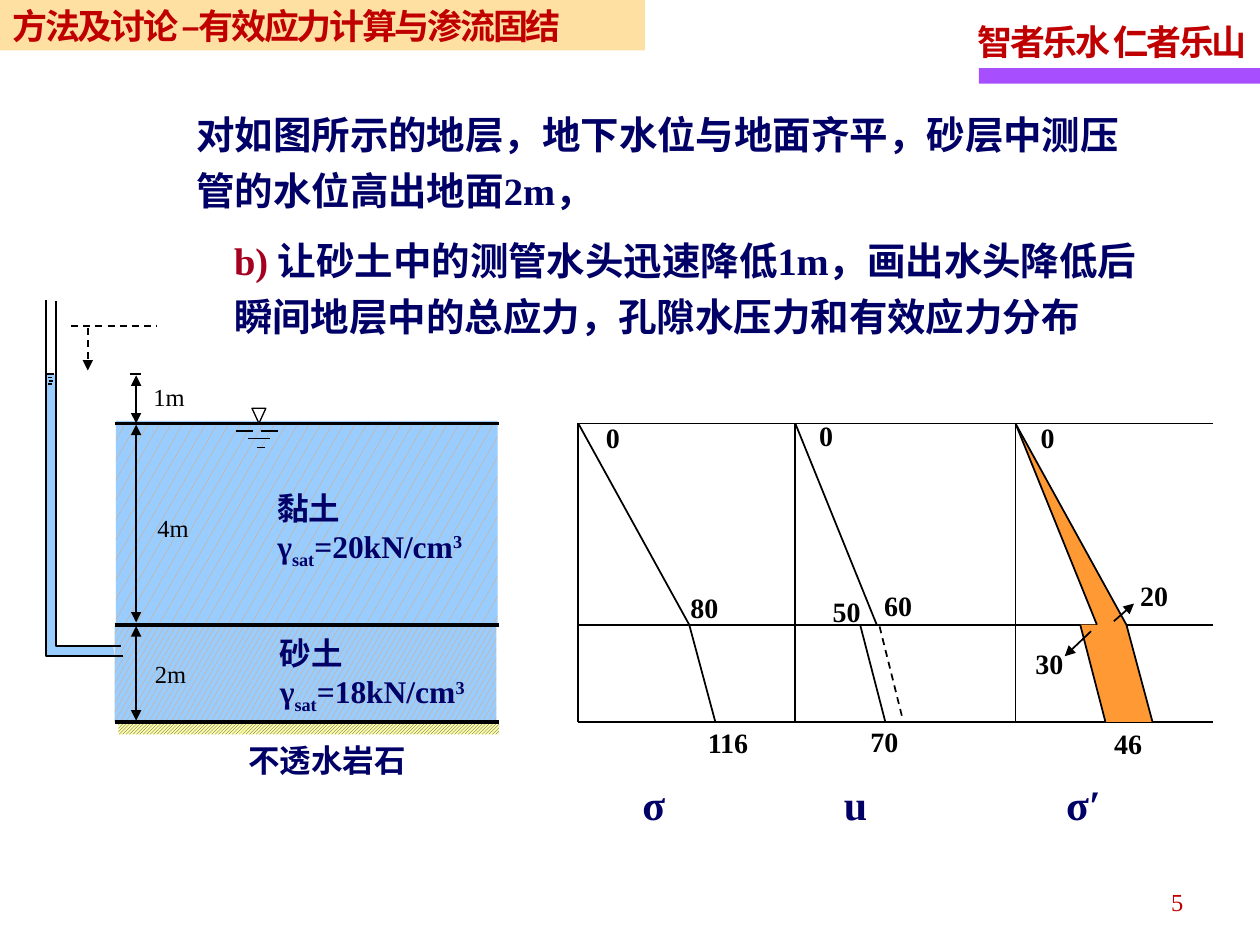
from lxml import etree
from pptx import Presentation
from pptx.dml.color import RGBColor
from pptx.enum.dml import MSO_LINE, MSO_PATTERN
from pptx.enum.shapes import MSO_CONNECTOR, MSO_SHAPE
from pptx.enum.text import MSO_ANCHOR, MSO_AUTO_SIZE, PP_ALIGN
from pptx.oxml.ns import qn
from pptx.util import Pt

RECT, TRIANGLE = MSO_SHAPE.RECTANGLE, MSO_SHAPE.ISOSCELES_TRIANGLE
STRAIGHT, DASH = MSO_CONNECTOR.STRAIGHT, MSO_LINE.DASH
LARGE_CONFETTI, SMALL_CONFETTI = MSO_PATTERN.LARGE_CONFETTI, MSO_PATTERN.SMALL_CONFETTI
DIAGONAL = MSO_PATTERN.LIGHT_UPWARD_DIAGONAL
MIDDLE, RIGHT, LEFT = MSO_ANCHOR.MIDDLE, PP_ALIGN.RIGHT, PP_ALIGN.LEFT
FIT = MSO_AUTO_SIZE.SHAPE_TO_FIT_TEXT

COLORS = {"black": "000000", "red": "C00000", "crimson": "A50021", "navy": "000066",
          "purple": "A74FFF", "sand": "FFCC66", "water": "99CCFF", "orange": "FF9933",
          "indigo": "333399", "yellow": "FFFF99"}
LATIN, CJK = "Times New Roman", "Noto Sans CJK SC"
HEADER = {"size": Pt(20), "bold": True, "color": "red"}
BODY = {"size": Pt(22), "bold": True, "color": "navy"}
SOIL = {"size": Pt(18), "bold": True, "color": "navy"}
AXIS = {"size": Pt(24), "bold": True, "color": "navy"}
DEPTH = {"size": Pt(14), "color": "black"}
VALUE = {"size": Pt(16), "bold": True, "color": "black"}
PAGE = {"size": Pt(14), "color": "red"}

TOP, MID, BASE = 242, 357, 412.5
SOIL_LEFT, SOIL_RIGHT = 65.5, 285
TOTAL_X, PORE_X, EFFECTIVE_X, CHART_RIGHT = 330.5, 454.5, 580.3, 693.4
TOTAL_MID, TOTAL_BASE = 63.4, 78.3
PORE_MID, SAND_MID, SAND_BASE = 46.5, 37, 51.4


def rgb(name):
    return RGBColor.from_string(COLORS[name])


class Drawing:
    def __init__(self, slide):
        self.slide = slide
        self.shapes = slide.shapes

    def stroke(self, line, width=1, dash=None):
        line.color.rgb = rgb("black")
        for key, value in {"width": Pt(width), "dash_style": dash}.items():
            setattr(line, key, value)

    def shape(self, kind, x, y, w, h, fill=None, pattern=None, back=None):
        sp = self.shapes.add_shape(kind, Pt(x), Pt(y), Pt(w), Pt(h))
        sp.shadow.inherit = False
        sp.line.fill.background()
        if pattern:
            sp.fill.patterned()
            sp.fill.pattern = pattern
            sp.fill.fore_color.rgb = rgb(fill)
            sp.fill.back_color.rgb = rgb(back)
        elif fill:
            sp.fill.solid()
            sp.fill.fore_color.rgb = rgb(fill)
        else:
            sp.fill.background()
        return sp

    def outline(self, points, fill=None, dash=None):
        (x, y), *rest = [(Pt(px), Pt(py)) for px, py in points]
        builder = self.shapes.build_freeform(x, y)
        builder.add_line_segments(rest, close=fill is not None)
        sp = builder.convert_to_shape()
        sp.shadow.inherit = False
        if fill:
            sp.fill.solid()
            sp.fill.fore_color.rgb = rgb(fill)
            sp.line.fill.background()
        else:
            sp.fill.background()
            self.stroke(sp.line, dash=dash)

    def line(self, x1, y1, x2, y2, width=1, dash=None, arrows=()):
        c = self.shapes.add_connector(STRAIGHT, Pt(x1), Pt(y1), Pt(x2), Pt(y2))
        self.stroke(c.line, width, dash)
        ln = c.line._get_or_add_ln()
        for end in arrows:
            etree.SubElement(ln, qn(f"a:{end}")).set("type", "triangle")
        etree.SubElement(c._element.spPr, qn("a:effectLst"))

    def run(self, p, text, style, latin=LATIN, **attrs):
        r = p.add_run()
        r.text = text
        values = {"name": latin, **style}
        r.font.color.rgb = rgb(values.pop("color"))
        for key, value in values.items():
            setattr(r.font, key, value)
        rPr = r._r.get_or_add_rPr()
        etree.SubElement(rPr, qn("a:ea")).set("typeface", CJK)
        for key, value in attrs.items():
            rPr.set(key, str(value))

    def frame(self, x, y, w, h, wrap=False, inset=(7.2, 3.6)):
        tf = self.shapes.add_textbox(Pt(x), Pt(y), Pt(w), Pt(h)).text_frame
        dx, dy = map(Pt, inset)
        fmt = {"word_wrap": wrap, "auto_size": FIT, "margin_left": dx,
               "margin_right": dx, "margin_top": dy, "margin_bottom": dy}
        for key, value in fmt.items():
            setattr(tf, key, value)
        return tf

    def label(self, text, x, y, w, h, style, wrap=False, spacing=1.15, align=LEFT, **attrs):
        p = self.frame(x, y, w, h, wrap).paragraphs[0]
        for key, value in {"line_spacing": spacing, "alignment": align}.items():
            setattr(p, key, value)
        self.run(p, text, style, **attrs)
        return p

    def soil(self, name, x, y, weight=None):
        tf = self.frame(x, y, 122 if weight else 104, 50 if weight else 28, inset=(6.5, 3))
        self.run(tf.paragraphs[0], name, SOIL)
        if weight:
            p = tf.add_paragraph()
            parts = ("γ", 0), ("sat", -25000), (f"={weight}kN/cm", 0), ("3", 30000)
            for text, baseline in parts:
                self.run(p, text, SOIL, baseline=baseline)


def headers(d):
    d.shape(RECT, 559.4, 38.9, 160.6, 9, "purple")
    d.label("智者乐水 仁者乐山", 551.5, 4.4, 172, 35.3, HEADER, spc=-138)
    d.label("5", 515.5, 501.1, 167.8, 28.8, PAGE, wrap=True, align=RIGHT)
    sp = d.shape(RECT, 0, 0, 368.6, 28.8, "sand")
    color = sp._element.spPr.find(qn("a:solidFill"))[0]
    etree.SubElement(color, qn("a:alpha")).set("val", "60000")
    sp.text_frame.vertical_anchor = MIDDLE
    p = sp.text_frame.paragraphs[0]
    p.alignment = LEFT
    d.run(p, "方法及讨论 –有效应力计算与渗流固结", HEADER, latin=CJK, spc=-133)


def soil_profile(d):
    d.outline([(64.8, 369.4), (31.7, 369.4), (31.7, 214), (26, 214), (26, 375), (65.5, 375)], "water")
    d.shape(RECT, SOIL_LEFT, MID, 218.2, BASE - MID, "orange", LARGE_CONFETTI, "water")
    d.shape(RECT, 66.2, 240.5, 218.2, MID - 240.5, "orange", SMALL_CONFETTI, "water")
    d.shape(RECT, 67.7, BASE, 217.4, 7.2, "indigo", DIAGONAL, "yellow")
    for y in (TOP, MID, BASE):
        d.line(SOIL_LEFT, y, SOIL_RIGHT, y, 2.25)
    d.outline([(69.1, 369), (31.9, 369), (31.9, 172)])
    d.outline([(70.6, 375), (26.2, 375), (26.2, 171.5)])

    sp = d.shape(TRIANGLE, 144, 233.3, 7.9, 8.6)
    sp.rotation = 180
    d.stroke(sp.line, 0.75)
    for x1, x2, y in ((134.6, 144.7, 246.3), (149, 159.1, 246.3), (141.8, 154.1, 250.7), (146.9, 151.2, 255.6)):
        d.line(x1, y, x2, y, 0.75)
    for x1, x2, y in ((26, 31, 213.8), (27.3, 29.5, 215.7), (28, 30.2, 217.6), (27.3, 29.5, 219.6), (74.2, 80.6, 213.8)):
        d.line(x1, y, x2, y)
    for y1, y2 in ((TOP, 214.5), (355.7, 242.7), (411.8, 357.8)):
        d.line(77.8, y1, 77.8, y2, arrows=("headEnd", "tailEnd"))
    d.line(40.7, 186.5, 89.8, 186.5, dash=DASH)
    d.line(50.2, 187.2, 50.2, 211.7, dash=DASH, arrows=("tailEnd",))

    for text, x, y in (("1m", 80.6, 212.2), ("4m", 82.8, 287.2), ("2m", 81.4, 370.5)):
        d.label(text, x, y, 33.5, 26.6, DEPTH)
    d.soil("黏土", 152, 276.5, 20)
    d.soil("砂土", 153.4, 359.5, 18)
    d.soil("不透水岩石", 135.4, 420.5)


def total_stress(d, x):
    d.outline([(x, TOP), (x + TOTAL_MID, MID), (x + TOTAL_BASE, BASE)])


def stress_charts(d):
    for y in (TOP, MID, BASE):
        d.line(TOTAL_X, y, CHART_RIGHT, y)
    x = EFFECTIVE_X
    d.outline([(x + TOTAL_BASE, BASE), (x + TOTAL_MID, MID), (x, TOP), (x + PORE_MID, MID),
               (x + SAND_MID, MID), (x + SAND_BASE, BASE)], "orange")
    for x in (TOTAL_X, PORE_X, EFFECTIVE_X):
        d.line(x, TOP, x, BASE)
    for x in (TOTAL_X, EFFECTIVE_X):
        total_stress(d, x)
    for x in (PORE_X, EFFECTIVE_X):
        d.line(x, TOP, x + PORE_MID, MID)
        d.line(x + SAND_MID, MID, x + SAND_BASE, BASE)
    d.outline([(502.6, 358), (516, 411.8)], dash=DASH)
    d.line(636.5, 355, 648, 344.9, arrows=("tailEnd",))
    d.line(623.5, 360.7, 608.4, 375, arrows=("tailEnd",))

    values = (("0", 339.1, 234), ("80", 387.4, 331), ("116", 397.4, 408.2),
              ("0", 461, 232.8), ("50", 468.7, 333.4), ("60", 498.2, 330), ("70", 490.3, 407.6),
              ("0", 587.5, 234), ("20", 644.4, 324.2), ("30", 584.6, 363.1), ("46", 629.6, 408.9))
    for text, x, y in values:
        d.label(text, x, y, 16 + 8 * len(text), 29.5, VALUE)

    p = d.label("\tσ\tu\tσ′", 354.2, 435.8, 316, 42.5, AXIS, wrap=True, spacing=1.2)
    tabs = etree.SubElement(p._p.get_or_add_pPr(), qn("a:tabLst"))
    for pos in (5.8, 121, 248):
        etree.SubElement(tabs, qn("a:tab"), pos=str(Pt(pos)), algn="l")


def question(d):
    tf = d.frame(105.1, 54.7, 558, 146.2, wrap=True)
    first, second = tf.paragraphs[0], tf.add_paragraph()
    d.run(first, "对如图所示的地层，地下水位与地面齐平，砂层中测压管的水位高出地面2m，", BODY)
    d.run(second, "b) ", {**BODY, "color": "crimson"})
    d.run(second, "让砂土中的测管水头迅速降低1m，画出水头降低后瞬间地层中的总应力，孔隙水压力和有效应力分布", BODY)
    for p in (first, second):
        p.line_spacing = 1.2
    first.space_after = second.space_before = Pt(4.4)
    second.level = 1
    pPr = second._p.get_or_add_pPr()
    for key, value in {"marL": Pt(21.6), "indent": 0}.items():
        pPr.set(key, str(value))


def main():
    prs = Presentation()
    prs.slide_width, prs.slide_height = Pt(720), Pt(540)
    s = prs.slides.add_slide(prs.slide_layouts[6])
    d = Drawing(s)
    for part in (headers, soil_profile, stress_charts, question):
        part(d)
    prs.save("out.pptx")


if __name__ == "__main__":
    main()
